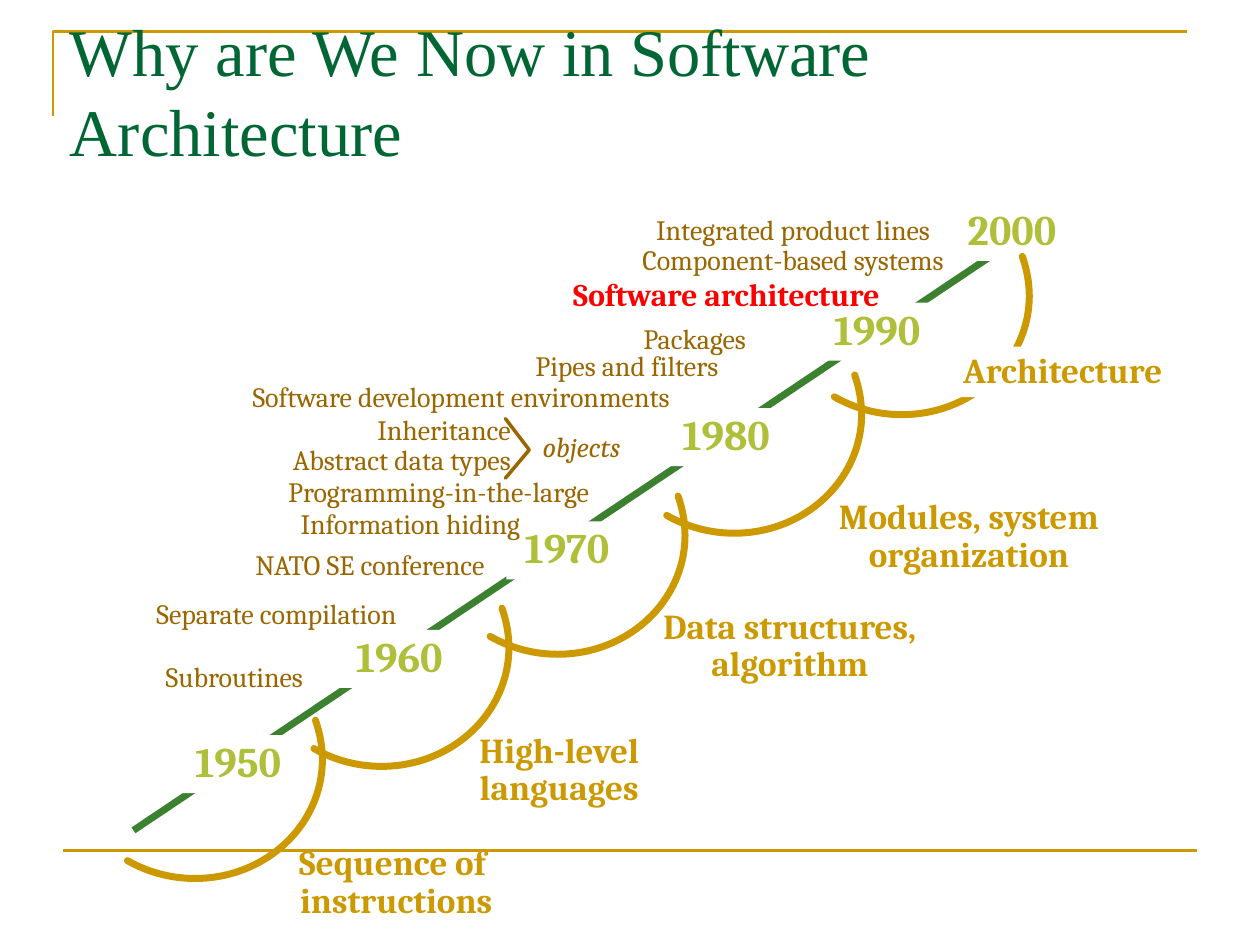
"""Build a slide that traces the decades leading up to software architecture."""
from lxml.etree import SubElement
from pptx import Presentation
from pptx.dml.color import RGBColor
from pptx.enum.shapes import MSO_CONNECTOR
from pptx.enum.text import MSO_ANCHOR, MSO_AUTO_SIZE, PP_ALIGN
from pptx.oxml.ns import qn
from pptx.util import Cm, Pt

GOLD = "CC9900"
BROWN = "996600"
ARC_POINTS = [
    (2.43, -0.79),
    (2.52, -0.53), (2.57, -0.26), (2.57, 0),
    (2.57, 1.33), (1.42, 2.4), (0, 2.4),
    (-0.47, 2.4), (-0.94, 2.28), (-1.36, 2.04),
]

presentation = Presentation()
presentation.slide_width = Cm(25.4)
presentation.slide_height = Cm(19.05)
slide = presentation.slides.add_slide(presentation.slide_layouts[6])


def add_text(text, left, top, width, height, size=16, color=BROWN, font="Cambria",
             bold=False, italic=False, align=PP_ALIGN.CENTER, spacing=0.9,
             wrap=False, fit=MSO_AUTO_SIZE.SHAPE_TO_FIT_TEXT, fill=None):
    shape = slide.shapes.add_textbox(Cm(left), Cm(top), Cm(width), Cm(height))
    if fill:
        shape.fill.solid()
        shape.fill.fore_color.rgb = RGBColor.from_string(fill)
    frame = shape.text_frame
    frame.text = text
    frame.word_wrap = wrap
    frame.auto_size = fit
    for paragraph in frame.paragraphs:
        paragraph.alignment = align
        paragraph.line_spacing = spacing
        paragraph.font.name = font
        paragraph.font.size = Pt(size)
        paragraph.font.bold = bold
        paragraph.font.italic = italic
        paragraph.font.color.rgb = RGBColor.from_string(color)
    return shape


def add_outline(points, color, width, cap="rnd"):
    points = [(Cm(x), Cm(y)) for x, y in points]
    builder = slide.shapes.build_freeform(*points[0], scale=1.0)
    builder.add_line_segments(points[1:], close=False)
    shape = builder.convert_to_shape()
    shape.shadow.inherit = False
    shape.fill.background()
    shape.line.color.rgb = RGBColor.from_string(color)
    shape.line.width = Pt(width)
    shape.element.spPr.find(qn("a:ln")).set("cap", cap)
    return shape


add_outline([(1.07, 2.34), (1.07, 0.64), (23.93, 0.64)], GOLD, 1.5, cap="flat")

for start_x, start_y, end_x, end_y, color, width in [
    (1.27, 17.15, 24.13, 17.15, GOLD, 1.5),
    (20.52, 4.8, 2.69, 16.74, "3B812F", 4),
]:
    connector = slide.shapes.add_connector(
        MSO_CONNECTOR.STRAIGHT, Cm(start_x), Cm(start_y), Cm(end_x), Cm(end_y))
    connector.line.color.rgb = RGBColor.from_string(color)
    connector.line.width = Pt(width)
    SubElement(connector.element.spPr, qn("a:effectLst"))

title = add_text("Why are We Now in Software Architecture", 1.11, 0.53, 23.39, 2.57,
                 size=38, color="006633", font="Times New Roman", align=PP_ALIGN.LEFT,
                 spacing=1.0, wrap=True, fit=MSO_AUTO_SIZE.NONE).text_frame
title.vertical_anchor = MSO_ANCHOR.MIDDLE
title.margin_left = title.margin_right = Cm(0.3)
title.margin_top = title.margin_bottom = Cm(0.15)

for year, left, top in [
    ("1950", 3.58, 14.82),
    ("1960", 6.83, 12.7),
    ("1970", 10.21, 10.51),
    ("1980", 13.42, 8.23),
    ("1990", 16.46, 6.1),
    ("2000", 19.18, 4.09),
]:
    add_text(year, left, top, 2.44, 1.17, size=24, color="AFBF39", bold=True, fill="FFFFFF")

for center_x, center_y in [
    (3.93, 15.31), (7.69, 13.05), (11.24, 10.79), (14.8, 8.35), (18.18, 5.96),
]:
    arc = add_outline([(center_x + x, center_y + y) for x, y in ARC_POINTS], GOLD, 4)
    outline = arc.element.spPr.find(".//" + qn("a:pathLst"))[0]
    segments = outline.findall(qn("a:lnTo"))
    for first in range(0, len(segments), 3):
        curve = SubElement(outline, qn("a:cubicBezTo"))
        for segment in segments[first:first + 3]:
            curve.append(segment[0])
            outline.remove(segment)

for era, left, top, width, height, fill in [
    ("Sequence of \ninstructions", 5.5, 16.92, 4.98, 1.78, None),
    ("High-level\nlanguages", 9.19, 14.65, 4.17, 1.78, None),
    ("Data structures,\nalgorithm", 12.8, 12.15, 6.25, 1.78, None),
    ("Modules, system\norganization", 16.32, 9.95, 6.43, 1.78, None),
    ("Architecture", 18.95, 6.99, 4.95, 1.02, "FFFFFF"),
]:
    add_text(era, left, top, width, height, size=20, color=GOLD, bold=True, fill=fill)

for topic, left, top, width in [
    ("Subroutines", 2.87, 13.25, 3.71),
    ("Separate compilation", 2.5, 11.98, 6.15),
    ("NATO SE conference", 4.5, 11, 5.92),
    ("Information hiding", 5.52, 10.16, 5.51),
    ("Programming-in-the-large", 5.11, 9.51, 7.47),
    ("Software development environments", 4.13, 7.61, 10.34),
    ("Pipes and filters", 10.28, 6.97, 4.72),
    ("Packages", 12.52, 6.43, 2.97),
]:
    add_text(topic, left, top, width, 0.86)

add_text("Inheritance\nAbstract data types", 4.94, 8.26, 5.61, 1.47, align=PP_ALIGN.RIGHT)
add_outline([(10.19, 8.44), (10.67, 9.07), (10.19, 9.64)], BROWN, 2)
add_text("objects", 10.33, 8.61, 2.79, 0.86, italic=True, wrap=True)
add_text("Software architecture", 10.91, 5.51, 7.47, 0.94, size=18, color="FC0000", bold=True)
add_text("Integrated product lines\nComponent-based systems", 12.14, 4.24, 7.7, 1.47)

presentation.save("out.pptx")
